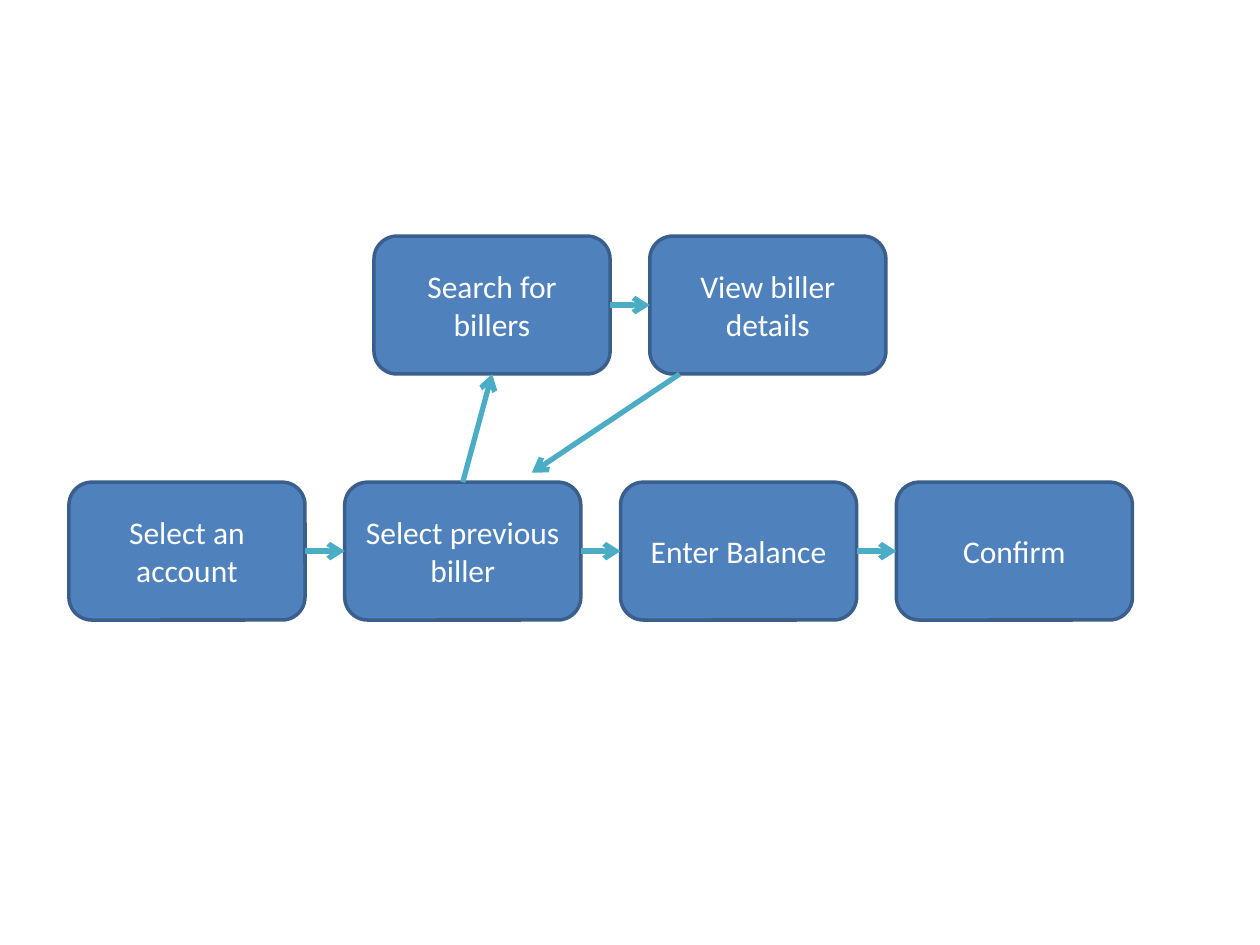
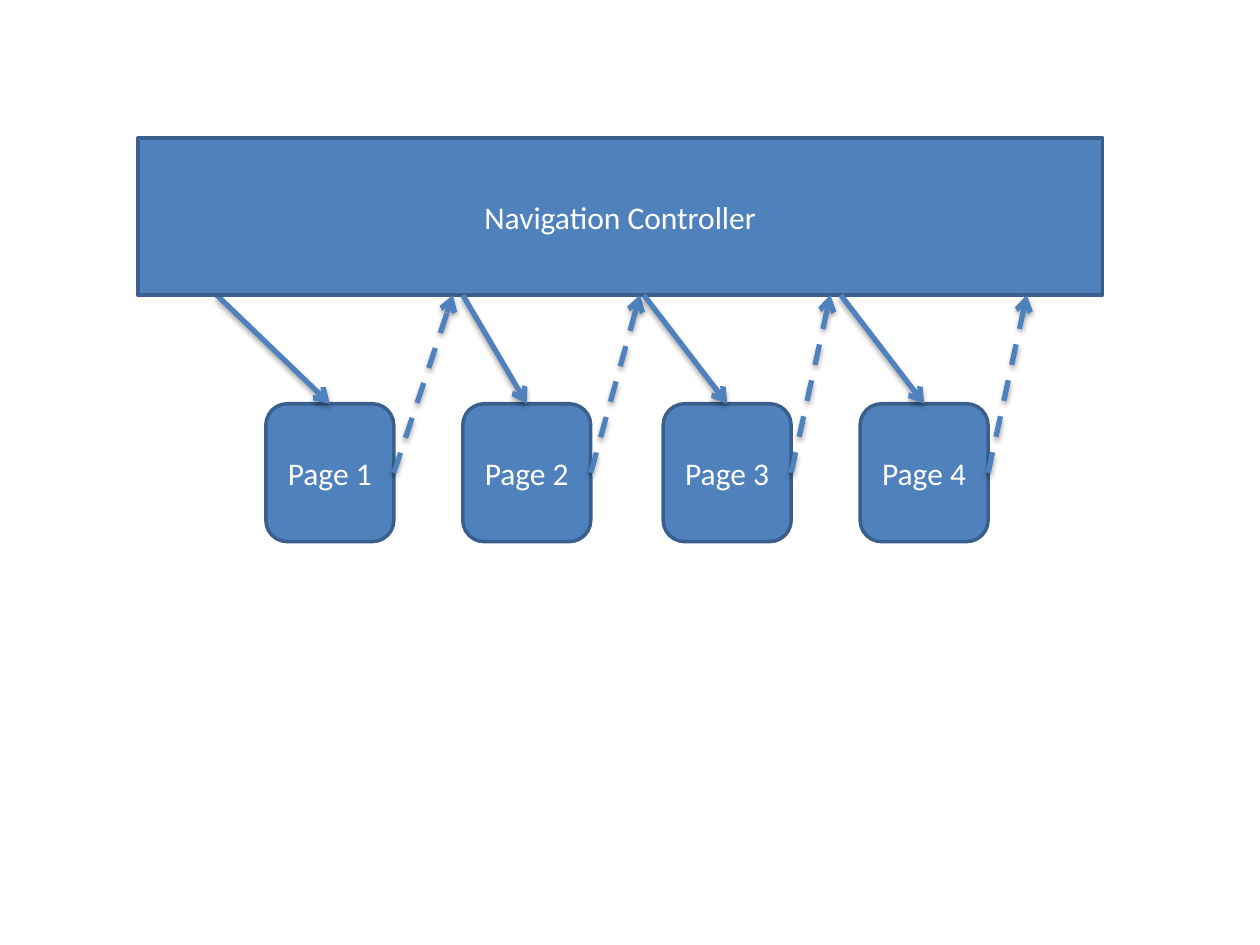
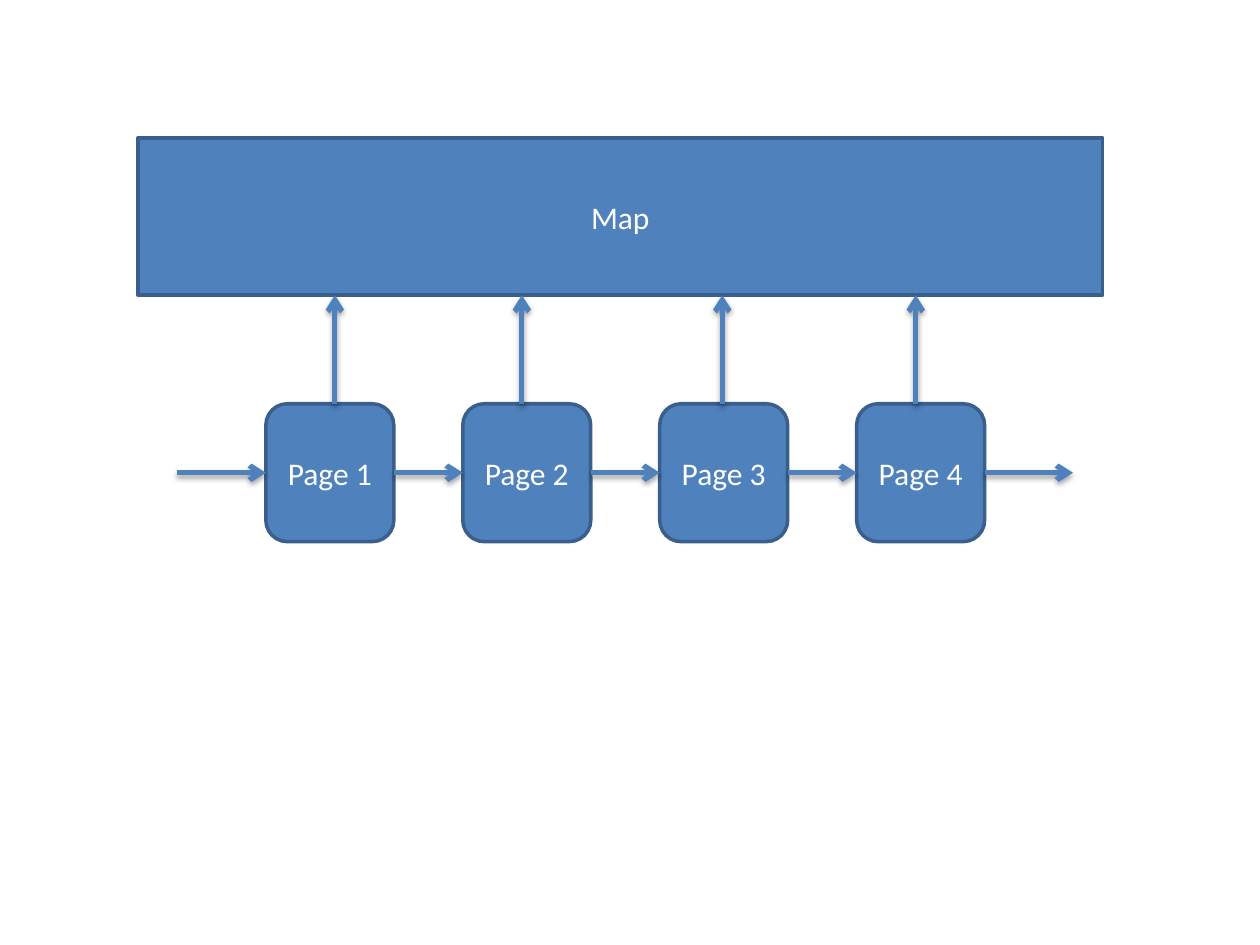
"""Build three flow diagrams: bill payment steps, a navigation controller and a map."""

import dataclasses
import typing

import lxml.etree
import pptx
import pptx.dml.color
import pptx.enum.dml
import pptx.enum.shapes
import pptx.enum.text
import pptx.oxml
import pptx.oxml.ns
import pptx.presentation
import pptx.slide
import pptx.util

COLORS = {
    "box": "4F81BD",
    "outline": "3A5F8C",
    "step_arrow": "4BACC6",
    "page_arrow": "4F81BD",
    "text": "FFFFFF",
    "shadow": "000000",
}
FONT = "Calibri"

STEP_WIDTH, STEP_HEIGHT, STEP_PITCH = 4.76, 2.78, 5.56
PAGE_WIDTH, PAGE_HEIGHT, PAGE_TOP = 2.58, 2.78, 8.14
PAGE_LEFT, PAGE_PITCH = 5.36, 3.97

Point = tuple[float, float]


@dataclasses.dataclass(frozen=True)
class Box:
    """A labelled box, in centimetres."""

    text: str
    left: float
    top: float
    width: float
    height: float
    rounded: bool = True

    @property
    def top_middle(self) -> Point:
        return self.left + self.width / 2, self.top

    @property
    def bottom_middle(self) -> Point:
        return self.left + self.width / 2, self.top + self.height

    @property
    def left_middle(self) -> Point:
        return self.left, self.top + self.height / 2

    @property
    def right_middle(self) -> Point:
        return self.left + self.width, self.top + self.height / 2


@dataclasses.dataclass(frozen=True)
class Arrow:
    """An arrow between two points, in centimetres."""

    start: Point
    end: Point
    color: str = "page_arrow"
    dashed: bool = False
    shadow: bool = True


def rgb(name: str) -> pptx.dml.color.RGBColor:
    """Look up a colour by its role."""
    return pptx.dml.color.RGBColor.from_string(COLORS[name])


def draw_box(slide: pptx.slide.Slide, box: Box) -> None:
    """Draw one box with centred text."""
    kinds = pptx.enum.shapes.MSO_SHAPE
    shape = slide.shapes.add_shape(
        kinds.ROUNDED_RECTANGLE if box.rounded else kinds.RECTANGLE,
        *map(pptx.util.Cm, (box.left, box.top, box.width, box.height)),
    )
    shape.shadow.inherit = False
    shape.fill.solid()
    shape.fill.fore_color.rgb = rgb("box")
    shape.line.color.rgb = rgb("outline")
    shape.line.width = pptx.util.Pt(2)
    frame = shape.text_frame
    frame.word_wrap = True
    frame.vertical_anchor = pptx.enum.text.MSO_ANCHOR.MIDDLE
    paragraph = frame.paragraphs[0]
    paragraph.text = box.text
    paragraph.alignment = pptx.enum.text.PP_ALIGN.CENTER
    paragraph.font.name = FONT
    paragraph.font.size = pptx.util.Pt(18)
    paragraph.font.color.rgb = rgb("text")


def draw_arrow(slide: pptx.slide.Slide, arrow: Arrow) -> None:
    """Draw one connector with an open arrowhead at its end."""
    connector = slide.shapes.add_connector(
        pptx.enum.shapes.MSO_CONNECTOR.STRAIGHT,
        *map(pptx.util.Cm, arrow.start + arrow.end),
    )
    connector.line.color.rgb = rgb(arrow.color)
    connector.line.width = pptx.util.Pt(3)
    if arrow.dashed:
        connector.line.dash_style = pptx.enum.dml.MSO_LINE.DASH
    qualified = pptx.oxml.ns.qn
    line = connector.line._get_or_add_ln()
    lxml.etree.SubElement(line, qualified("a:tailEnd"), type="arrow")
    properties = connector._element.spPr
    effects = lxml.etree.SubElement(properties, qualified("a:effectLst"))
    if arrow.shadow:
        shadow = lxml.etree.SubElement(
            effects, qualified("a:outerShdw"),
            blurRad="40000", dist="23000", dir="5400000", rotWithShape="0",
        )
        color = lxml.etree.SubElement(shadow, qualified("a:srgbClr"), val=COLORS["shadow"])
        lxml.etree.SubElement(color, qualified("a:alpha"), val="35000")


def add_slide(presentation: pptx.presentation.Presentation) -> pptx.slide.Slide:
    """Add a blank slide."""
    return presentation.slides.add_slide(presentation.slide_layouts[6])


def step_row(texts: typing.Sequence[str], left: float, top: float) -> list[Box]:
    """Lay out one row of step boxes."""
    return [
        Box(text, left + index * STEP_PITCH, top, STEP_WIDTH, STEP_HEIGHT)
        for index, text in enumerate(texts)
    ]


def page_row(extra_gap: float = 0) -> list[Box]:
    """Lay out four pages, with an optional extra gap in the middle."""
    return [
        Box(
            f"Page {index + 1}",
            PAGE_LEFT + index * PAGE_PITCH + (extra_gap if index > 1 else 0),
            PAGE_TOP, PAGE_WIDTH, PAGE_HEIGHT,
        )
        for index in range(4)
    ]


def top_bar(text: str) -> Box:
    """Lay out the wide bar above the pages."""
    return Box(text, 2.78, 2.78, 19.45, 3.17, rounded=False)


def draw_pages_under_bar(
    slide: pptx.slide.Slide, bar: Box, pages: list[Box], arrows: list[Arrow]
) -> None:
    """Draw pages, the entry arrow, the bar and then the other arrows."""
    for page in pages:
        draw_box(slide, page)
    entry, *others = arrows
    draw_arrow(slide, entry)
    draw_box(slide, bar)
    for arrow in others:
        draw_arrow(slide, arrow)


def build_payment_slide(presentation: pptx.presentation.Presentation) -> None:
    """Build the bill payment flow."""
    slide = add_slide(presentation)
    main = step_row(
        ("Select an account", "Select previous biller", "Enter Balance", "Confirm"), 1.39, 9.72
    )
    detour = step_row(("Search for billers", "View biller details"), 7.54, 4.76)
    for box in main + detour:
        draw_box(slide, box)
    routes = [
        (before.right_middle, after.left_middle)
        for row in (main, detour)
        for before, after in zip(row, row[1:])
    ]
    routes.append((main[1].top_middle, detour[0].bottom_middle))
    routes.append(((13.7, 7.54), (10.72, 9.53)))
    for start, end in routes:
        draw_arrow(slide, Arrow(start, end, "step_arrow", shadow=False))


def build_controller_slide(presentation: pptx.presentation.Presentation) -> None:
    """Build the navigation controller diagram."""
    bar = top_bar("Navigation Controller")
    bottom = bar.bottom_middle[1]
    pages = page_row(extra_gap=0.07)
    departures = (4.37, 9.33, 12.98, 16.95)
    returns = (9.13, 12.9, 16.74, 20.7)
    arrows = []
    for page, departure, arrival in zip(pages, departures, returns):
        arrows.append(Arrow((departure, bottom), page.top_middle))
        arrows.append(Arrow(page.right_middle, (arrival, bottom), dashed=True))
    draw_pages_under_bar(add_slide(presentation), bar, pages, arrows)


def build_map_slide(presentation: pptx.presentation.Presentation) -> None:
    """Build the map diagram."""
    bar = top_bar("Map")
    bottom = bar.bottom_middle[1]
    pages = page_row()
    middle = pages[0].left_middle[1]
    starts = [(3.57, middle)] + [page.right_middle for page in pages]
    ends = [page.left_middle for page in pages] + [(21.63, middle)]
    arrows = [Arrow(start, end) for start, end in zip(starts, ends)]
    arrows += [Arrow((x, PAGE_TOP), (x, bottom)) for x in (6.75, 10.52, 14.56, 18.46)]
    draw_pages_under_bar(add_slide(presentation), bar, pages, arrows)


def main() -> None:
    """Build and save the presentation."""
    presentation = pptx.Presentation()
    presentation.slide_width = pptx.util.Cm(25.4)
    presentation.slide_height = pptx.util.Cm(19.05)
    build_payment_slide(presentation)
    build_controller_slide(presentation)
    build_map_slide(presentation)
    presentation.save("out.pptx")


main()
